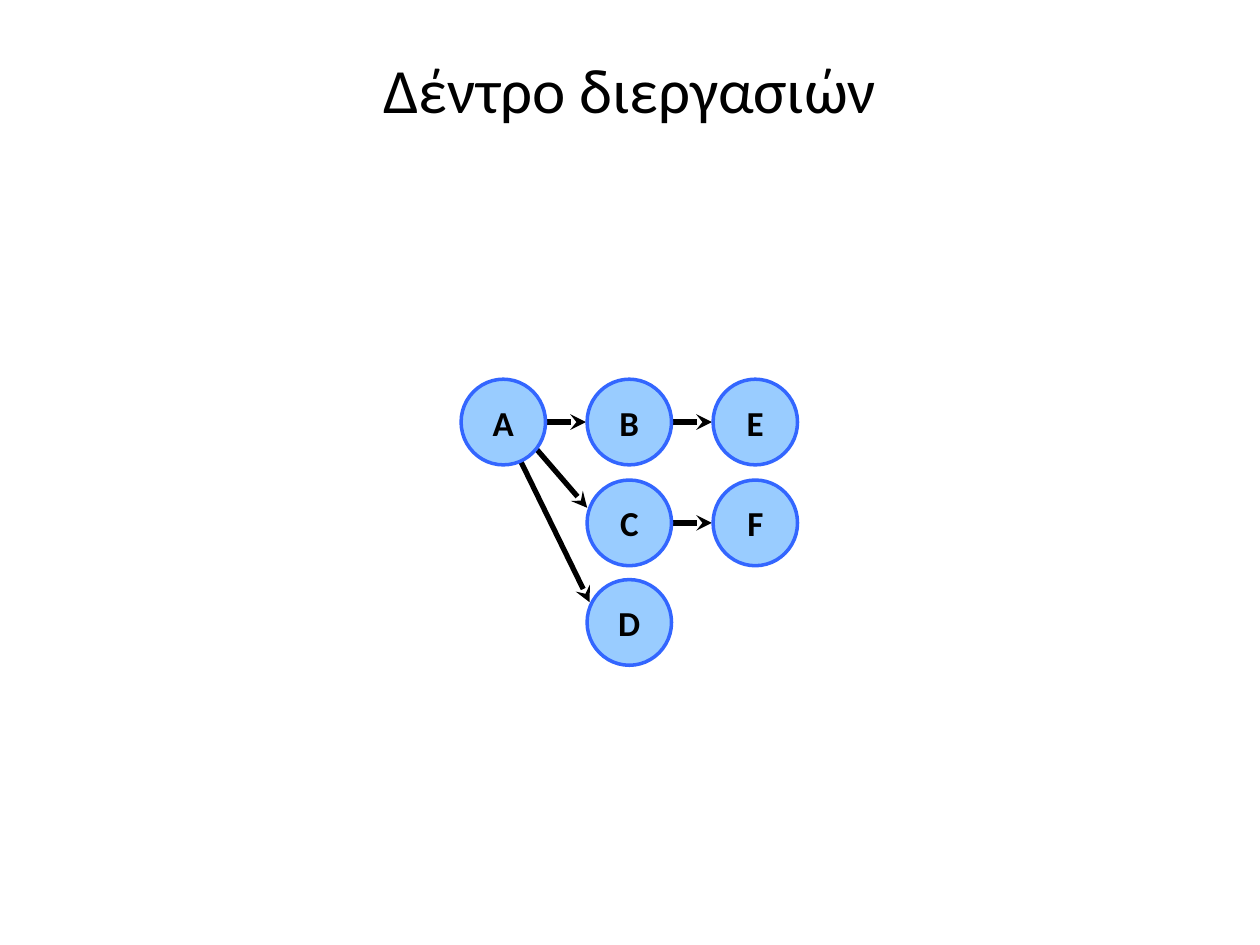
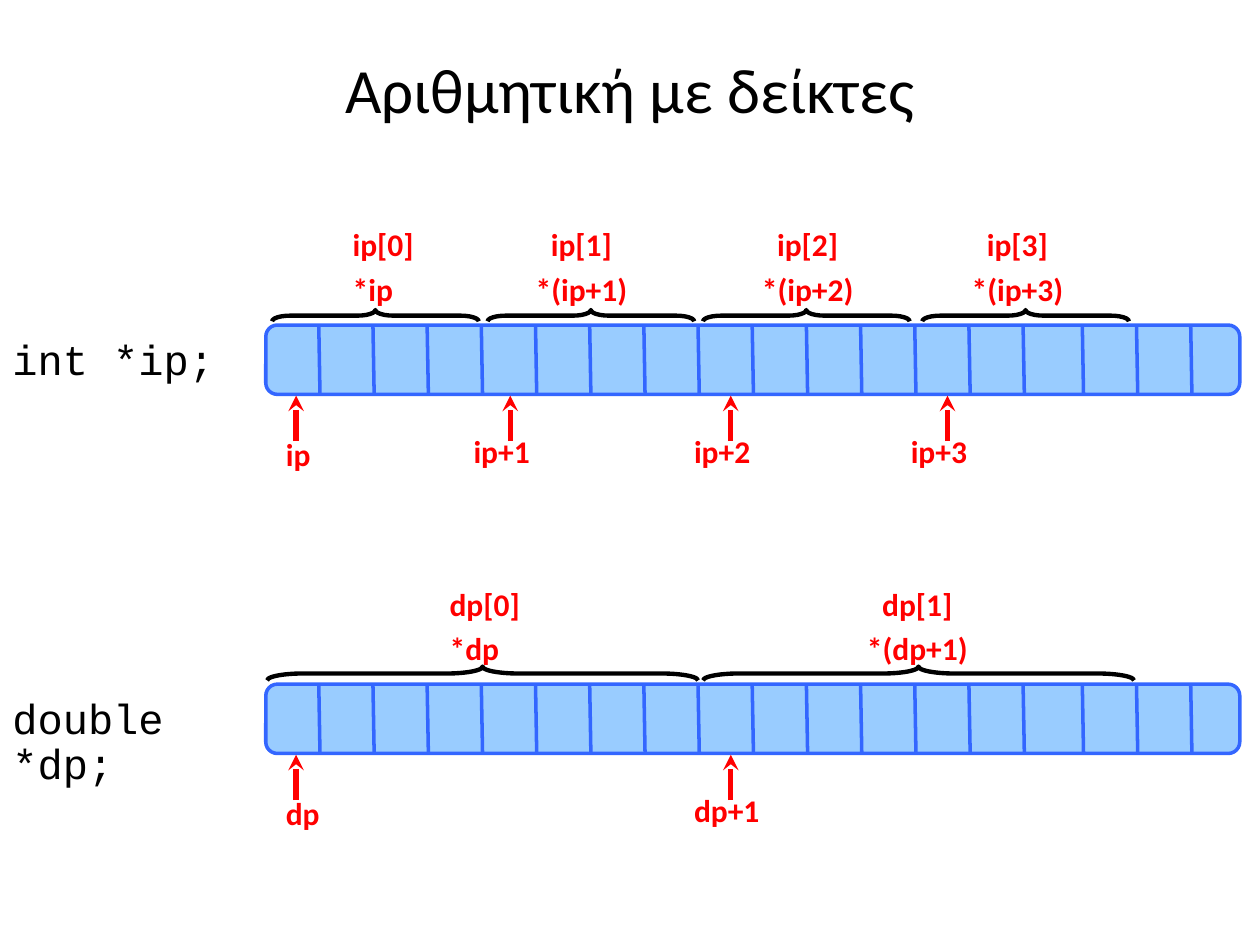
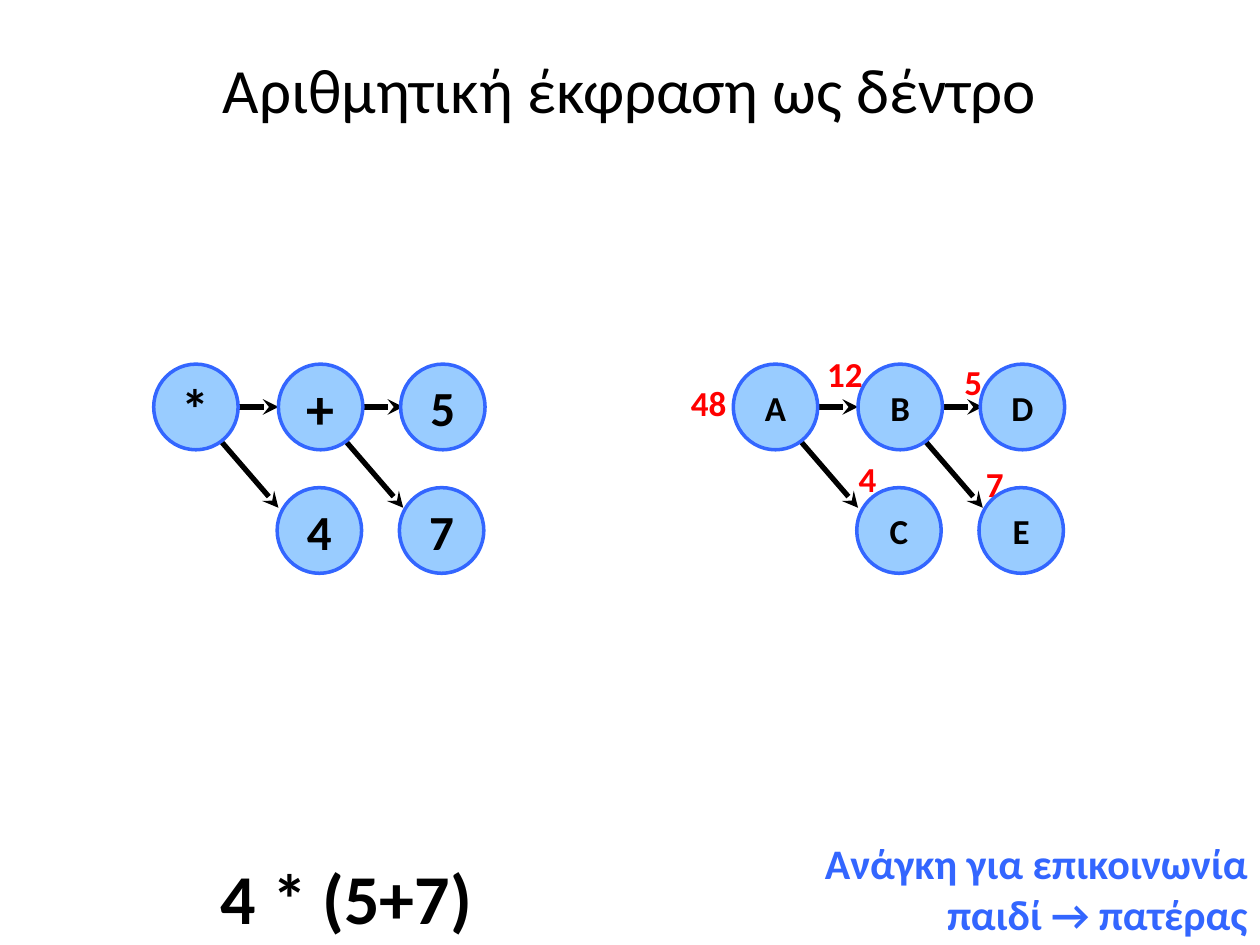
from lxml import etree
from pptx import Presentation
from pptx.dml.color import RGBColor
from pptx.enum import shapes, text
from pptx.oxml import ns
from pptx.util import Inches, Pt

COLORS = {"black": "000000", "fill": "99CCFF", "blue": "3366FF", "red": "FF0000"}
LEFT, CENTER, RIGHT = text.PP_ALIGN.LEFT, text.PP_ALIGN.CENTER, text.PP_ALIGN.RIGHT
SHAPE = shapes.MSO_SHAPE


def write(sp, content, size, color="black", bold=True, align=CENTER, font="Calibri"):
    """Fill the only paragraph of a shape; newlines become line breaks."""
    p = sp.text_frame.paragraphs[0]
    p.alignment = align
    for i, line in enumerate(content.split("\n")):
        if i:
            p.add_line_break()
        r = p.add_run()
        r.text = line
        r.font.name, r.font.size, r.font.bold = font, Pt(size), bold
        r.font.color.rgb = RGBColor.from_string(COLORS[color])
    return p


def add_line(s, x1, y1, x2, y2, color="black", width=3, arrow=True):
    ln = s.shapes.add_connector(shapes.MSO_CONNECTOR.STRAIGHT,
                                Inches(x1), Inches(y1), Inches(x2), Inches(y2))
    ln.line.color.rgb = RGBColor.from_string(COLORS[color])
    ln.line.width = Pt(width)
    if arrow:
        etree.SubElement(ln.line._get_or_add_ln(), ns.qn("a:tailEnd"), type="stealth")
    etree.SubElement(ln._element.spPr, ns.qn("a:effectLst"))


prs = Presentation()
prs.slide_width, prs.slide_height = Inches(10), Inches(7.5)

# Slides with their titles
slides = []
for title in ("Δέντρο διεργασιών", "Αριθμητική με δείκτες",
              "Αριθμητική έκφραση ως δέντρο"):
    s = prs.slides.add_slide(prs.slide_layouts[6])
    sp = s.shapes.add_textbox(Inches(0.5), Inches(0.3), Inches(9), Inches(0.8))
    sp.text_frame.word_wrap = True
    sp.text_frame.vertical_anchor = text.MSO_ANCHOR.MIDDLE
    write(sp, title, 36, bold=False)
    slides.append(s)
process_slide, pointer_slide, expression_slide = slides

# Trees: nodes are (label, left, top, size), arrows are offsets from a node
NODE_W, NODE_H = 0.67, 0.68
NEXT = (0.67, 0.34, 0.99, 0.34)
BELOW = (0.42, 0.48, 0.99, 1.14)
trees = [(process_slide,
          [("D", 4.66, 4.6, 20), ("C", 4.66, 3.81, 20), ("B", 4.66, 3.01, 20),
           ("F", 5.66, 3.81, 20), ("E", 5.66, 3.01, 20), ("A", 3.66, 3.01, 20)],
          {"A": [NEXT, (0.43, 0.36, 1, 1.02), (0.36, 0.42, 1.02, 1.77)],
           "B": [NEXT], "C": [NEXT]})]
places = [(0, 0), (0.99, 0), (1.96, 0), (1.95, 0.98), (0.98, 0.98)]
for left, labels, sizes in ((5.82, "ABDEC", [20] * 5),
                            (1.22, "*+574", [32, 32, 28, 28, 28])):
    nodes = [(label, left + dx, 2.89 + dy, size)
             for label, (dx, dy), size in zip(labels, places, sizes)]
    trees.append((expression_slide, nodes,
                  {label: [NEXT, BELOW] for label in labels[:2]}))

for s, nodes, arrows in trees:
    for label, x, y, size in nodes:
        for x1, y1, x2, y2 in arrows.get(label, []):
            add_line(s, x + x1, y + y1, x + x2, y + y2)
    for label, x, y, size in nodes:
        sp = s.shapes.add_shape(SHAPE.OVAL, Inches(x), Inches(y),
                                Inches(NODE_W), Inches(NODE_H))
        sp.shadow.inherit = False
        sp.fill.solid()
        sp.fill.fore_color.rgb = RGBColor.from_string(COLORS["fill"])
        sp.line.color.rgb = RGBColor.from_string(COLORS["blue"])
        sp.line.width = Pt(2)
        sp.text_frame.word_wrap = False
        sp.text_frame.vertical_anchor = text.MSO_ANCHOR.MIDDLE
        write(sp, label, size)

# Memory arrays: top, brace (length, depth, curve, centres),
# elements (left, width, align, index, dereference), pointers (x, label left, drop, label)
arrays = [
    (2.58, (1.64, 0.09, 1.607, [2.98, 4.69, 6.4, 8.14]),
     [(2.7, 0.81, LEFT, "ip[0]", "*ip"), (4.1, 1.03, CENTER, "ip[1]", "*(ip+1)"),
      (5.85, 1.12, CENTER, "ip[2]", "*(ip+2)"), (7.46, 1.23, CENTER, "ip[3]", "*(ip+3)")],
     [(2.35, 2.17, 0.82, "ip"), (4.05, 3.66, 0.8, "ip+1"),
      (5.8, 5.41, 0.8, "ip+2"), (7.52, 7.13, 0.8, "ip+3")]),
    (5.43, (3.42, 0.11, 2.603, [3.83, 7.29]),
     [(3.47, 0.99, LEFT, "dp[0]", "*dp"), (6.72, 1.12, CENTER, "dp[1]", "*(dp+1)")],
     [(2.35, 2.17, 0.82, "dp"), (5.8, 5.41, 0.8, "dp+1")]),
]
s = pointer_slide
labels = []  # slide, left, top, width, height, content, size, colour, align
for top, (length, depth, curve, centres), elements, pointers in arrays:
    # Bar and byte dividers
    sp = s.shapes.add_shape(SHAPE.ROUNDED_RECTANGLE, Inches(2.11), Inches(top),
                            Inches(7.73), Inches(0.55))
    sp.shadow.inherit = False
    sp.fill.solid()
    sp.fill.fore_color.rgb = RGBColor.from_string(COLORS["fill"])
    sp.line.color.rgb = RGBColor.from_string(COLORS["blue"])
    sp.line.width = Pt(2)
    for i in range(17):
        x = 2.54 + 0.43 * i + (0.04 if i > 13 else 0)
        add_line(s, x, top + 0.56, x - 0.01, top, "blue", 2, arrow=False)

    # Braces, turned to open downwards
    for centre in centres:
        sp = s.shapes.add_shape(SHAPE.RIGHT_BRACE, Inches(centre - depth / 2),
                                Inches(top - 0.03 - depth / 2 - length / 2),
                                Inches(depth), Inches(length))
        sp.rotation = 270
        sp.adjustments[0] = curve
        sp.shadow.inherit = False
        sp.fill.background()
        sp.line.color.rgb = RGBColor.from_string(COLORS["black"])
        sp.line.width = Pt(2.5)

    # Pointer arrows and labels
    for x, left, drop, label in pointers:
        add_line(s, x, top + 0.92, x, top + 0.56, "red")
        labels.append((s, left, top + drop, 0.81, 0.4, label, 18, "red", LEFT))
    for left, width, align, index, dereference in elements:
        labels.append((s, left, top - 0.84, width, 0.4, index, 18, "red", align))
        labels.append((s, left, top - 0.49, width, 0.4, dereference, 18, "red", align))

# Declarations
for top, width, code in ((2.64, 1.82, "int *ip;"), (5.49, 2.38, "double *dp;")):
    sp = s.shapes.add_textbox(Inches(0), Inches(top), Inches(width), Inches(0.46))
    sp.text_frame.word_wrap = True
    p = write(sp, code, 24, bold=False, align=LEFT, font="Courier New")
    p.line_spacing = 0.9

# Expression, returned values and remark
s = expression_slide
labels.append((s, 1.04, 6.73, 3.42, 0.77, "4 * (5+7)", 40, "black", CENTER))
for left, top, width, value in ((7.52, 2.81, 0.41, "5"), (7.69, 3.62, 0.41, "7"),
                                (6.42, 2.75, 0.57, "12"), (6.6, 3.58, 0.57, "4"),
                                (5.34, 2.98, 0.57, "48")):
    labels.append((s, left, top, width, 0.43, value, 20, "red", CENTER))
labels.append((s, 5.16, 6.6, 4.84, 0.9, "Ανάγκη για επικοινωνία\nπαιδί → πατέρας",
               24, "blue", RIGHT))

# Bold labels of both slides
for s, left, top, width, height, content, size, color, align in labels:
    sp = s.shapes.add_textbox(Inches(left), Inches(top), Inches(width), Inches(height))
    sp.text_frame.word_wrap = True
    sp.text_frame.auto_size = text.MSO_AUTO_SIZE.SHAPE_TO_FIT_TEXT
    write(sp, content, size, color, align=align)

prs.save("out.pptx")
